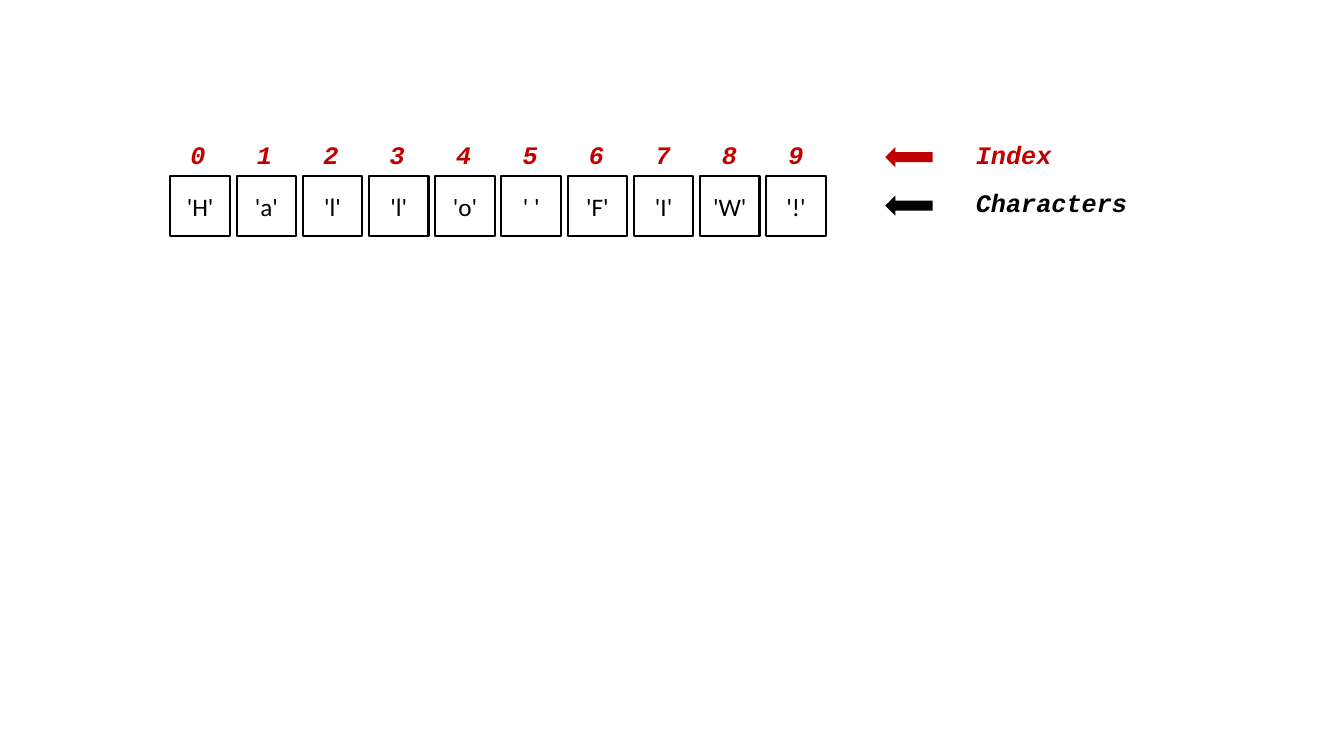
from pptx import Presentation
from pptx.dml.color import RGBColor
from pptx.enum import shapes, text
from pptx.util import Inches, Pt

RED, BLACK = "C00000", "000000"
CHARS = "Hallo FIW!"
BOX = {"first": 1.69, "last": 7.6, "top": 1.75, "size": 0.59}
DIGIT = {"first": 1.79, "last": 7.72, "top": 1.33, "width": 0.35}
ROWS = [("Index", RED, 1.33, 0.96), ("Characters", BLACK, 1.81, 1.71)]
PLAIN = {"name": "Calibri", "size": Pt(18)}
CODE = {"name": "Courier New", "size": Pt(18), "bold": True, "italic": True}


def color(code):
    return RGBColor.from_string(code)


def place(row, n):
    return row["first"] + n * (row["last"] - row["first"]) / (len(CHARS) - 1)


def write(shape, words, form, code):
    para = shape.text_frame.paragraphs[0]
    run = para.add_run()
    run.text = words
    for key, value in form.items():
        setattr(run.font, key, value)
    run.font.color.rgb = color(code)
    return para


def shape(slide, kind, *area):
    item = slide.shapes.add_shape(kind, *map(Inches, area))
    item.shadow.inherit = False
    return item


def label(slide, words, code, *area):
    item = slide.shapes.add_textbox(*map(Inches, area))
    item.text_frame.word_wrap = False
    item.text_frame.auto_size = text.MSO_AUTO_SIZE.SHAPE_TO_FIT_TEXT
    write(item, words, CODE, code)


def cell(slide, n, char):
    size = BOX["size"]
    item = shape(slide, shapes.MSO_SHAPE.RECTANGLE,
                 place(BOX, n), BOX["top"], size, size)
    item.fill.background()
    item.line.color.rgb = color(BLACK)
    item.line.width = Pt(1.5)
    item.text_frame.vertical_anchor = text.MSO_ANCHOR.MIDDLE
    para = write(item, f"'{char}'", PLAIN, BLACK)
    para.alignment = text.PP_ALIGN.CENTER


def arrow(slide, code, top):
    item = shape(slide, shapes.MSO_SHAPE.LEFT_ARROW, 8.78, top, 0.47, 0.2)
    item.fill.solid()
    item.fill.fore_color.rgb = color(code)
    item.line.fill.background()


def main():
    deck = Presentation()
    deck.slide_width, deck.slide_height = Inches(13.33), Inches(7.5)
    slide = deck.slides.add_slide(deck.slide_layouts[6])
    for n, char in enumerate(CHARS):
        cell(slide, n, char)
        label(slide, str(n), RED, place(DIGIT, n), DIGIT["top"],
              DIGIT["width"], 0.4)
    for words, code, top, width in ROWS:
        arrow(slide, code, top + 0.13)
        label(slide, words, code, 9.58, top, width, 0.4)
    deck.save("out.pptx")


if __name__ == "__main__":
    main()
